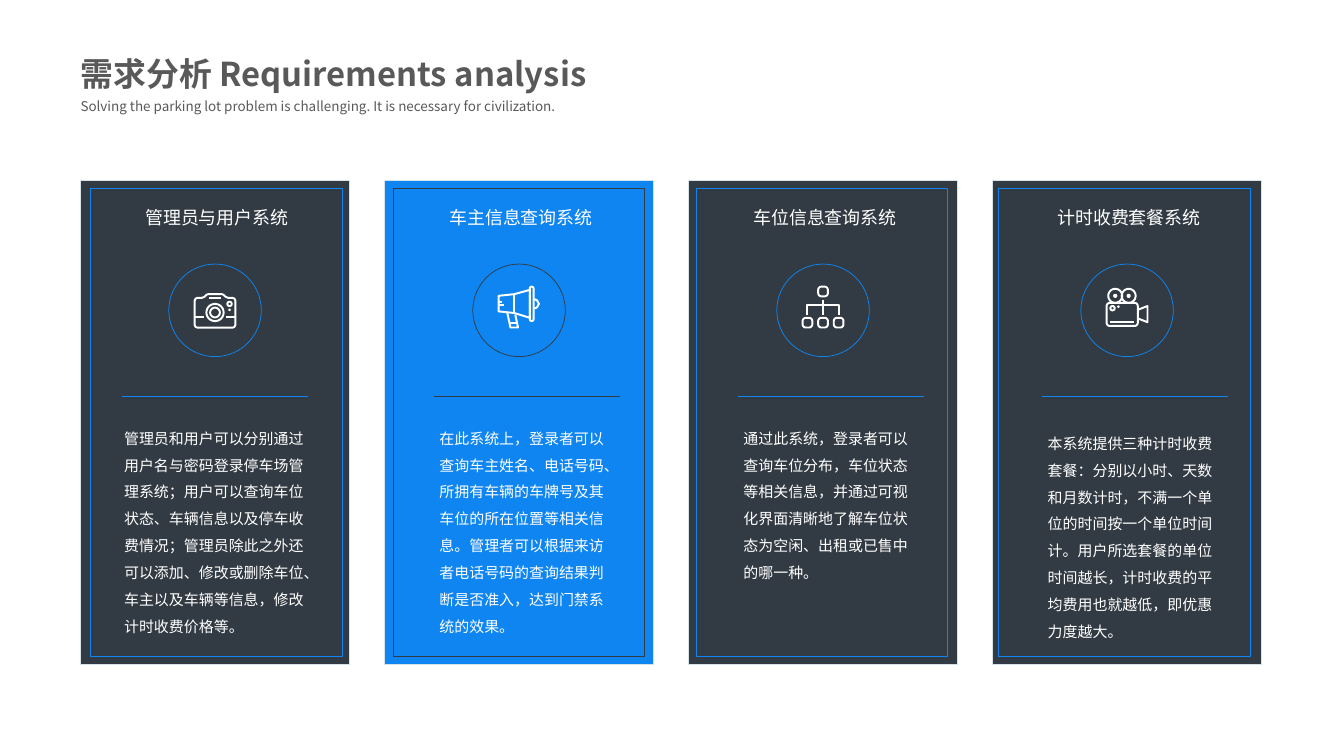
from math import cos, pi, sin
from pptx import Presentation
from pptx.dml.color import RGBColor
from pptx.enum.shapes import MSO_CONNECTOR, MSO_SHAPE
from pptx.enum.text import MSO_ANCHOR, MSO_AUTO_SIZE, PP_ALIGN
from pptx.oxml.ns import qn
from pptx.util import Inches, Pt
from lxml.etree import SubElement

# Content
FONT = "Noto Sans CJK SC"
HEX = {"dark": "323B43", "blue": "0F85F1", "edge": "D8E3E9",
       "white": "FFFFFF", "gray": "595959"}
TITLE = "需求分析 Requirements analysis"
LEAD = ("Solving the parking lot problem is challenging. "
        "It is necessary for civilization.")

# Icons on an 80 by 80 grid: ovals (x, y, radius), boxes (x, y, w, h), paths
CAMERA = {
    "ovals": [(40, 50, 16), (40, 50, 9), (67, 34, 4), (67, 45, 0.5)],
    "boxes": [],
    "loops": [[(2, 28), (4, 24), (7, 23), (15, 23), (20, 21), (24, 17),
               (27, 16), (53, 16), (56, 17), (60, 21), (65, 23), (73, 23),
               (76, 24), (78, 28), (78, 73), (76, 77), (73, 78), (7, 78),
               (4, 77), (2, 73)]],
    "lines": [[(29, 23), (51, 23)], [(2, 59), (20, 59)], [(60, 59), (78, 59)]],
}
HORN = {
    "ovals": [],
    "boxes": [(60, 2, 7, 64)],
    "loops": [[(60, 8), (31, 16), (2, 19), (2, 48), (31, 51), (60, 60)]],
    "lines": [[(31, 16), (31, 51)], [(2, 30), (9, 30)], [(2, 37), (12, 37)],
              [(18, 50), (24, 78), (38, 78), (33, 54)], [(22, 70), (36, 70)],
              [(67, 25), (73, 27), (77, 34), (73, 41), (67, 43)]],
}
TREE = {
    "ovals": [],
    "boxes": [(31, 2, 18, 18)] + [(x, 60, 18, 18) for x in (2, 31, 60)],
    "loops": [],
    "lines": [[(40, 27), (40, 54)], [(11, 54), (11, 37), (69, 37), (69, 54)]],
}
FILM = {
    "ovals": [(18, 19, 13), (43, 19, 13), (18, 19, 2), (43, 19, 2),
              (13, 42, 4), (24, 39, 0.5)],
    "boxes": [(2, 32, 58, 43)],
    "loops": [],
    "lines": [[(9, 68), (53, 68)], [(60, 45), (78, 38), (78, 68), (60, 61)]],
}

# Head, body, icon, fill, accent, frame dx, rule dx, body (dx, top, w, h)
CARDS = [
    ("管理员与用户系统",
     "管理员和用户可以分别通过用户名与密码登录停车场管理系统；用户可以查询车位状态、"
     "车辆信息以及停车收费情况；管理员除此之外还可以添加、修改或删除车位、"
     "车主以及车辆等信息，修改计时收费价格等。",
     CAMERA, "dark", "blue", 0.72, 3.08, (2.84, 31.06, 14.48, 16.32)),
    ("车主信息查询系统",
     "在此系统上，登录者可以查询车主姓名、电话号码、所拥有车辆的车牌号及其车位的"
     "所在位置等相关信息。管理者可以根据来访者电话号码的查询结果判断是否准入，"
     "达到门禁系统的效果。",
     HORN, "blue", "dark", 0.62, 3.66, (3.68, 31.06, 13.84, 16.32)),
    ("车位信息查询系统",
     "通过此系统，登录者可以查询车位分布，车位状态等相关信息，并通过可视化界面清晰地"
     "了解车位状态为空闲、出租或已售中的哪一种。",
     TREE, "dark", "blue", 0.56, 3.68, (3.68, 31.06, 13.84, 12.28)),
    ("计时收费套餐系统",
     "本系统提供三种计时收费套餐：分别以小时、天数和月数计时，不满一个单位的时间"
     "按一个单位时间计。用户所选套餐的单位时间越长，计时收费的平均费用也就越低，"
     "即优惠力度越大。",
     FILM, "dark", "blue", 0.46, 3.68, (3.7, 31.44, 13.84, 18.36)),
]

deck = Presentation()
deck.slide_width, deck.slide_height = Inches(25), Inches(14)
slide = deck.slides.add_slide(deck.slide_layouts[6])

# Grid: 100 columns by 56 rows of square cells
CELL = deck.slide_width / 100
LEFT, TOP, STEP, WIDE, TALL = 6, 13.44, 22.62, 20, 36
DOT, PEN = 0.04, 2.6  # icon grid step in cells, icon line in points


def units(*cells):
    return [round(c * CELL) for c in cells]


def color(name):
    return RGBColor.from_string(HEX[name])


def style(shape, fill, line, width):
    shape.shadow.inherit = False
    if fill:
        shape.fill.solid()
        shape.fill.fore_color.rgb = color(fill)
    else:
        shape.fill.background()
    shape.line.color.rgb = color(line)
    shape.line.width = Pt(width)


def block(part, kind, box, fill, line):
    shape = part.add_shape(kind, *units(*box))
    if kind == MSO_SHAPE.ROUNDED_RECTANGLE:
        shape.adjustments[0] = 0
    style(shape, fill, line, 1)


def stroke(part, start, end, line, width):
    link = part.add_connector(MSO_CONNECTOR.STRAIGHT,
                              *units(*start, *end))
    link.line.color.rgb = color(line)
    link.line.width = Pt(width)
    SubElement(link._element.spPr, qn("a:effectLst"))


def label(part, box, text, size, tint, space=1.5, bold=False, head=False):
    frame = part.add_textbox(*units(*box)).text_frame
    frame.word_wrap = True
    para = frame.paragraphs[0]
    para.line_spacing = space
    if head:
        frame.vertical_anchor = MSO_ANCHOR.MIDDLE
        frame.margin_left = Inches(0.07)
        frame.margin_right = frame.margin_top = frame.margin_bottom = 0
        para.alignment = PP_ALIGN.CENTER
    else:
        frame.auto_size = MSO_AUTO_SIZE.SHAPE_TO_FIT_TEXT
    run = para.add_run()
    run.text = text
    run.font.size, run.font.bold, run.font.name = Pt(size), bold, FONT
    run.font.color.rgb = color(tint)
    SubElement(run.font._element, qn("a:ea")).set("typeface", FONT)


def ring(x, y, w, h, r, steps=8):
    """Outline of a box with round corners, clockwise from the right."""
    spots = []
    for turn, (cx, cy) in enumerate([(x + w - r, y + h - r), (x + r, y + h - r),
                                     (x + r, y + r), (x + w - r, y + r)]):
        for k in range(steps + 1):
            angle = (turn + k / steps) * pi / 2
            spots.append((cx + r * cos(angle), cy + r * sin(angle)))
    return spots


def icon(part, art, left, top):
    loops = art["loops"] + [ring(x - r, y - r, 2 * r, 2 * r, r)
                            for x, y, r in art["ovals"]]
    loops += [ring(*box, min(6, min(box[2:]) / 2)) for box in art["boxes"]]
    paths = [(p, True) for p in loops] + [(p, False) for p in art["lines"]]
    pen = None
    for path, close in paths:
        spots = [units(left + x * DOT, top + y * DOT) for x, y in path]
        if pen is None:
            pen = part.build_freeform(*spots[0])
        else:
            pen.move_to(*spots[0])
        pen.add_line_segments(spots[1:], close=close)
    style(pen.convert_to_shape(), None, "white", PEN)


# Title and lead
label(slide.shapes, (5.6, 2.32, 42.24, 4.32), TITLE, 44, "gray", bold=True)
label(slide.shapes, (5.6, 6.48, 43.2, 2), LEAD, 18, "gray")

# Cards
for i, (head, body, art, fill, accent, rim, rule, spot) in enumerate(CARDS):
    left = LEFT + i * STEP
    part = slide.shapes.add_group_shape().shapes
    block(part, MSO_SHAPE.ROUNDED_RECTANGLE, (left, TOP, WIDE, TALL),
          fill, "edge")
    icon(part, art, left + 8.4, TOP + 7.8)
    stroke(part, (left + rule, TOP + 16), (left + rule + 13.84, TOP + 16),
           accent, 0.5)
    label(part, (left, TOP, WIDE, 5), head, 24, "white", 1.3, head=True)
    block(part, MSO_SHAPE.OVAL, (left + 6.56, TOP + 6.2, 6.88, 6.88),
          None, accent)
    label(part, (left + spot[0], *spot[1:]), body, 20, "white")
    block(part, MSO_SHAPE.ROUNDED_RECTANGLE,
          (left + rim, TOP + 0.6, 18.72, 34.8), None, accent)

deck.save("out.pptx")
